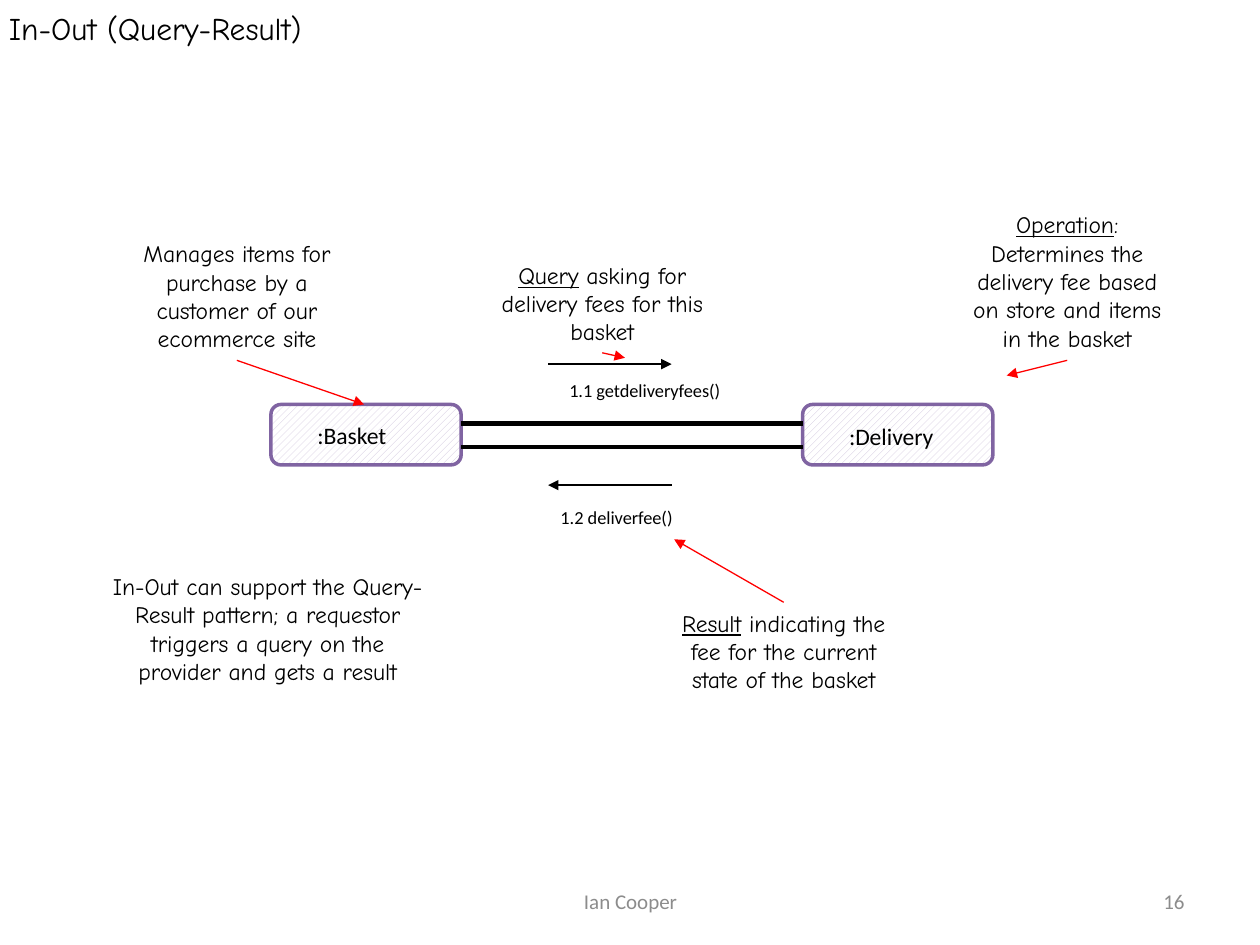
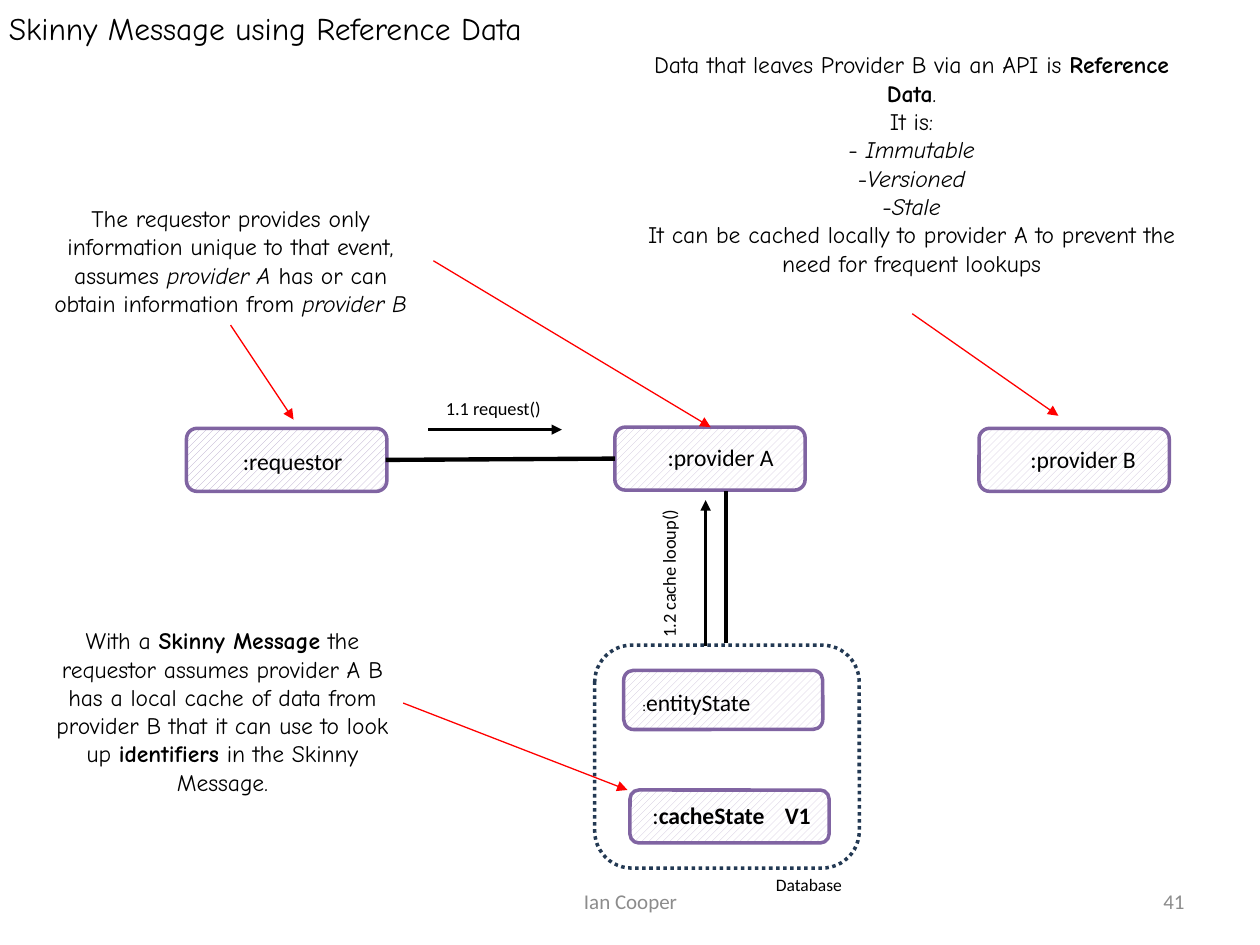
from dataclasses import dataclass

from lxml import etree
from pptx import Presentation
from pptx.dml.color import RGBColor as RGB
from pptx.enum.dml import MSO_LINE, MSO_PATTERN
from pptx.enum.shapes import MSO_CONNECTOR, MSO_SHAPE
from pptx.enum.text import MSO_ANCHOR, PP_ALIGN
from pptx.oxml.ns import qn
from pptx.util import Inches, Pt


@dataclass(frozen=True)
class Theme:
    hand: str = "Comic Neue"
    plain: str = "Calibri"
    black: str = "000000"
    footer_grey: str = "8C8C8C"
    border: str = "8064A2"
    hatch: str = "CCC1DA"
    dark_hatch: str = "B3A2C7"
    paper: str = "FFFFFF"
    database: str = "233953"
    callout: str = "FF0000"
    title_size: float = 18
    body_size: float = 13.5
    footer_size: float = 12
    message_size: float = 10.5
    caption_size: float = 10
    small_colon_size: float = 8


@dataclass(frozen=True)
class Run:
    text: str
    marks: str = ""
    size: float = None


theme = Theme()
LEFT, CENTER, RIGHT = PP_ALIGN.LEFT, PP_ALIGN.CENTER, PP_ALIGN.RIGHT


def add_text(slide, place, paragraphs, size, font=theme.plain, color=theme.black,
             align=LEFT, anchor=MSO_ANCHOR.TOP, inset=(0.1, 0.05), tab=None):
    """Add a text box; paragraphs are lists of Run, whose marks are b, i or u."""
    box = slide.shapes.add_textbox(*map(Inches, place))
    frame = box.text_frame
    frame.word_wrap = True
    frame.vertical_anchor = anchor
    frame.margin_left = frame.margin_right = Inches(inset[0])
    frame.margin_top = frame.margin_bottom = Inches(inset[1])
    for index, runs in enumerate(paragraphs):
        paragraph = frame.add_paragraph() if index else frame.paragraphs[0]
        paragraph.alignment = align
        if tab:
            stops = etree.SubElement(paragraph._p.get_or_add_pPr(), qn("a:tabLst"))
            etree.SubElement(stops, qn("a:tab"), pos=str(Inches(tab)), algn="l")
        for part in runs:
            run = paragraph.add_run()
            run.text = part.text
            run.font.name = font
            run.font.size = Pt(part.size or size)
            run.font.color.rgb = RGB.from_string(color)
            run.font.bold = "b" in part.marks
            run.font.italic = "i" in part.marks
            run.font.underline = "u" in part.marks
    return box


def add_line(slide, ends, color, width, arrow=True):
    line = slide.shapes.add_connector(MSO_CONNECTOR.STRAIGHT, *map(Inches, ends))
    line.line.color.rgb = RGB.from_string(color)
    line.line.width = Pt(width)
    if arrow:
        etree.SubElement(line.line._get_or_add_ln(), qn("a:tailEnd"), type="triangle")
    etree.SubElement(line._element.spPr, qn("a:effectLst"))


# Participants: box, hatch colour, label place, label runs, tab stop.
# Links, messages and callouts: x1, y1, x2, y2.
query_result = dict(
    title="In-Out (Query-Result)",
    number="16",
    participants=[
        ((2.15, 3.21, 1.51, 0.48), theme.hatch, (2.42, 3.29, 0.96, 0.33),
         [Run(":Basket")], None),
        ((6.37, 3.21, 1.51, 0.48), theme.hatch, (6.64, 3.3, 0.96, 0.33),
         [Run(":Delivery")], None),
    ],
    links=[(3.66, 3.36, 6.37, 3.36), (3.66, 3.55, 6.37, 3.55)],
    messages=[
        ((4.35, 2.89, 5.33, 2.89), (4.42, 2.96, 1.44, 0.28), "1.1 getdeliveryfees()", 0),
        ((5.33, 3.85, 4.35, 3.85), (4.35, 3.97, 1.3, 0.28), "1.2 deliverfee()", 0),
    ],
    notes=[
        ((0.75, 4.49, 2.75, 1.24),
         [[Run("In-Out can support the Query-Result pattern; a requestor triggers "
               "a query on the provider and gets a result")]]),
        ((0.97, 1.85, 1.82, 1.01),
         [[Run("Manages items for purchase by a customer of our ecommerce site")]]),
        ((3.87, 2.02, 1.82, 0.78),
         [[Run("Query", "u"), Run(" asking for delivery fees for this basket")]]),
        ((7.56, 1.62, 1.82, 1.24),
         [[Run("Operation", "u"),
           Run(": Determines the delivery fee based on store and items in the basket")]]),
        ((5.31, 4.78, 1.82, 1.01),
         [[Run("Result", "u"),
           Run(" indicating the fee for the current state of the basket")]]),
    ],
    callouts=[
        (1.88, 2.86, 2.89, 3.21), (4.78, 2.8, 4.96, 2.84),
        (8.47, 2.86, 7.99, 2.98), (6.22, 4.78, 5.35, 4.28),
    ],
    databases=[],
)

skinny_message = dict(
    title="Skinny Message using Reference Data",
    number="41",
    participants=[
        ((1.48, 3.4, 1.59, 0.5), theme.dark_hatch, (1.83, 3.5, 1.09, 0.33),
         [Run(":requestor")], None),
        ((4.88, 3.39, 1.51, 0.5), theme.hatch, (5.2, 3.47, 1.09, 0.33),
         [Run(":provider A")], None),
        ((7.77, 3.4, 1.51, 0.5), theme.hatch, (8.08, 3.48, 1.05, 0.33),
         [Run(":provider B")], None),
        ((4.95, 5.32, 1.58, 0.47), theme.hatch, (5, 5.41, 1.28, 0.34),
         [Run(":", size=theme.small_colon_size), Run("entityState")], None),
        ((5, 6.27, 1.58, 0.42), theme.hatch, (5.08, 6.31, 1.48, 0.33),
         [Run(":"), Run("cacheState\tV1", "b")], 1.05),
    ],
    links=[(3.06, 3.65, 4.88, 3.64), (5.76, 5.1, 5.76, 3.9)],
    messages=[
        ((3.4, 3.41, 4.46, 3.41), (3.44, 3.1, 0.98, 0.28), "1.1 request()", 0),
        ((5.6, 5.13, 5.6, 3.97), (4.65, 4.36, 1.32, 0.28), "1.2 cache looup()", 270),
    ],
    notes=[
        ((0.22, 1.57, 3.22, 1.01),
         [[Run("The requestor provides only information unique to that event, assumes "),
           Run("provider A", "i"), Run(" has or can obtain information from "),
           Run("provider B", "i")]]),
        ((4.97, 0.35, 4.53, 2.15),
         [[Run("Data that leaves Provider B via an API is "),
           Run("Reference Data", "b"), Run(".")],
          [Run("It is:")],
          [Run("- "), Run("Immutable", "i")],
          [Run("-"), Run("Versioned", "i")],
          [Run("-"), Run("Stale", "i")],
          [Run("It can be cached locally to provider A to prevent the need for "
               "frequent lookups")]]),
        ((0.34, 4.92, 2.85, 1.46),
         [[Run("With a "), Run("Skinny Message", "b"),
           Run(" the requestor assumes provider A B has a local cache of data from "
               "provider B that it can use to look up "),
           Run("identifiers", "b"), Run(" in the Skinny Message.")]]),
    ],
    callouts=[
        (1.83, 2.58, 2.33, 3.33), (3.44, 2.07, 5.64, 3.39),
        (7.24, 2.49, 8.4, 3.3), (3.2, 5.58, 4.98, 6.27),
    ],
    databases=[((4.72, 5.12, 2.1, 1.77), (6.06, 6.89, 0.75, 0.27), "Database")],
)

deck = Presentation()
deck.slide_width, deck.slide_height = Inches(10), Inches(7.5)

for content in (query_result, skinny_message):
    slide = deck.slides.add_slide(deck.slide_layouts[6])
    add_text(slide, (0, 0, 10, 0.45), [[Run(content["title"])]], theme.title_size,
             theme.hand, inset=(0.07, 0.07))
    for place, words, align in (((3.42, 6.95, 3.17, 0.4), "Ian Cooper", CENTER),
                                ((7.17, 6.95, 2.33, 0.4), content["number"], RIGHT)):
        add_text(slide, place, [[Run(words)]], theme.footer_size,
                 color=theme.footer_grey, align=align, anchor=MSO_ANCHOR.MIDDLE)

    for place, hatch, label_place, label, tab in content["participants"]:
        participant = slide.shapes.add_shape(MSO_SHAPE.ROUNDED_RECTANGLE,
                                             *map(Inches, place))
        participant.shadow.inherit = False
        participant.fill.patterned()
        participant.fill.pattern = MSO_PATTERN.WIDE_UPWARD_DIAGONAL
        participant.fill.fore_color.rgb = RGB.from_string(hatch)
        participant.fill.back_color.rgb = RGB.from_string(theme.paper)
        participant.line.color.rgb = RGB.from_string(theme.border)
        participant.line.width = Pt(2)
        add_text(slide, label_place, [label], theme.body_size, tab=tab)

    for place, caption_place, caption in content["databases"]:
        database = slide.shapes.add_shape(MSO_SHAPE.ROUNDED_RECTANGLE,
                                          *map(Inches, place))
        database.shadow.inherit = False
        database.fill.background()
        database.line.color.rgb = RGB.from_string(theme.database)
        database.line.width = Pt(2)
        database.line.dash_style = MSO_LINE.ROUND_DOT
        add_text(slide, caption_place, [[Run(caption)]], theme.caption_size)

    for ends in content["links"]:
        add_line(slide, ends, theme.black, 2.5, arrow=False)
    for ends, place, call, rotation in content["messages"]:
        add_line(slide, ends, theme.black, 1.5)
        add_text(slide, place, [[Run(call)]], theme.message_size).rotation = rotation
    for place, paragraphs in content["notes"]:
        add_text(slide, place, paragraphs, theme.body_size, theme.hand, align=CENTER)
    for ends in content["callouts"]:
        add_line(slide, ends, theme.callout, 0.75)

deck.save("out.pptx")
